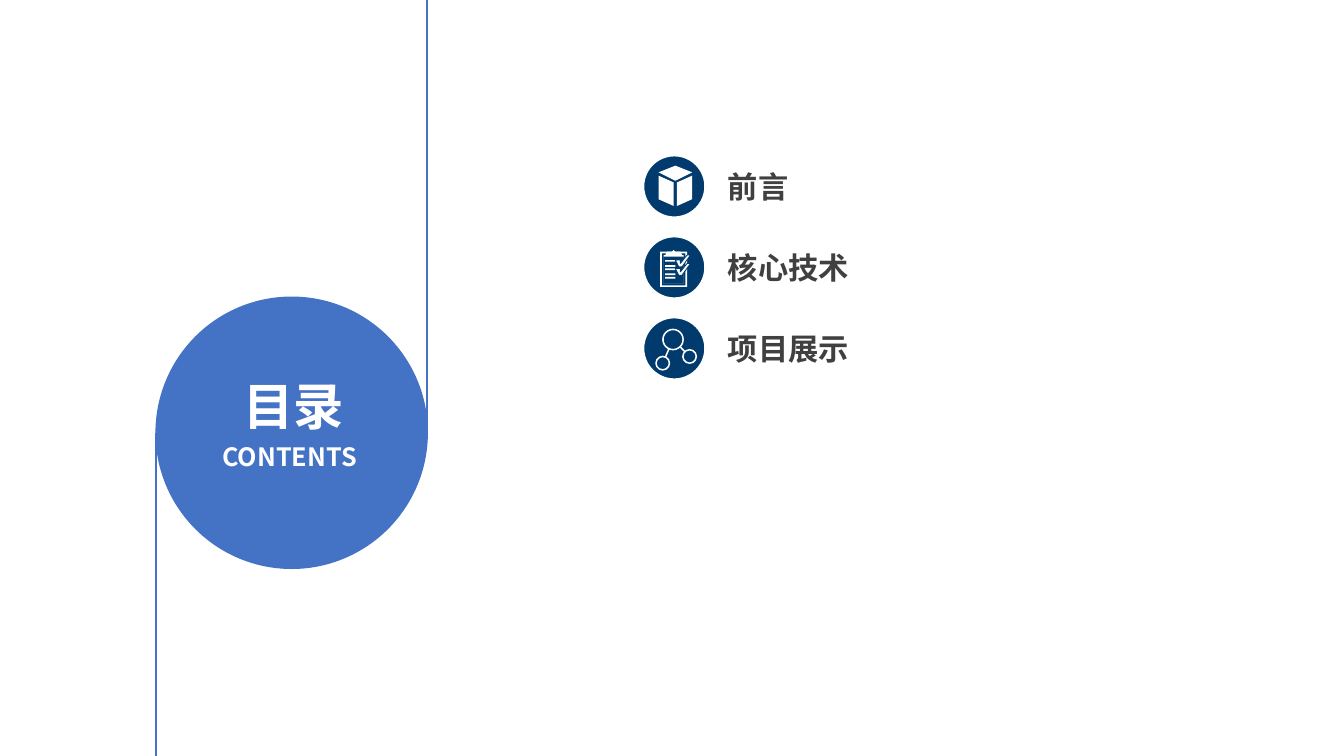
import math
import typing

import lxml.etree
import pptx
import pptx.dml.color
import pptx.enum.dml
import pptx.enum.shapes
import pptx.enum.text
import pptx.oxml.ns
import pptx.util

Pt = pptx.util.Pt
BLUE = pptx.dml.color.RGBColor(0x44, 0x72, 0xC4)
NAVY = pptx.dml.color.RGBColor(0x01, 0x3B, 0x6D)
WHITE = pptx.dml.color.RGBColor(0xFF, 0xFF, 0xFF)
GRAY = pptx.dml.color.RGBColor(0x40, 0x40, 0x40)
FONT = "Noto Sans CJK SC"
Outline = list[tuple[float, float]]


class Box(typing.NamedTuple):
    left: float
    top: float
    width: float
    height: float


class Label(typing.NamedTuple):
    text: str
    box: Box
    size: float
    color: pptx.dml.color.RGBColor
    wrap: bool = True


class Node(typing.NamedTuple):
    x: float
    y: float
    radius: float


class Entry(typing.NamedTuple):
    text: str
    width: float
    draw_icon: typing.Callable[[float, float], None]


presentation = pptx.Presentation()
presentation.slide_width = Pt(800)
presentation.slide_height = Pt(450)
slide = presentation.slides.add_slide(presentation.slide_layouts[5])


def style(shape, fill=None, line=None, width: float = 1) -> None:
    shape.shadow.inherit = False
    for target, color in ((shape.fill, fill), (shape.line.fill, line)):
        if color is None:
            target.background()
        else:
            target.solid()
            target.fore_color.rgb = color
    if line is not None:
        shape.line.width = Pt(width)


def draw_circle(node: Node, fill=None, line=None, width: float = 1) -> None:
    diameter = Pt(2 * node.radius)
    shape = slide.shapes.add_shape(
        pptx.enum.shapes.MSO_SHAPE.OVAL,
        Pt(node.x - node.radius), Pt(node.y - node.radius), diameter, diameter)
    style(shape, fill, line, width)


def draw_line(x1: float, y1: float, x2: float, y2: float, color, width: float) -> None:
    connector = slide.shapes.add_connector(
        pptx.enum.shapes.MSO_CONNECTOR.STRAIGHT, Pt(x1), Pt(y1), Pt(x2), Pt(y2))
    connector.line.color.rgb = color
    connector.line.width = Pt(width)
    properties = connector.element.find(pptx.oxml.ns.qn("p:spPr"))
    lxml.etree.SubElement(properties, pptx.oxml.ns.qn("a:effectLst"))


def draw_outlines(left: float, top: float, outlines: list[Outline], line=None) -> None:
    builder = None
    for first, *rest in outlines:
        if builder is None:
            builder = slide.shapes.build_freeform(*first, scale=Pt(1))
        else:
            builder.move_to(*first)
        builder.add_line_segments(rest, close=True)
    shape = builder.convert_to_shape(Pt(left), Pt(top))
    style(shape, WHITE, line, 0.5)


def rectangle(left: float, top: float, right: float, bottom: float) -> Outline:
    return [(left, top), (right, top), (right, bottom), (left, bottom)]


def write_label(shape, label: Label) -> None:
    shape.left, shape.top, shape.width, shape.height = map(Pt, label.box)
    frame = shape.text_frame
    frame.auto_size = pptx.enum.text.MSO_AUTO_SIZE.NONE
    frame.word_wrap = label.wrap
    frame.vertical_anchor = pptx.enum.text.MSO_ANCHOR.MIDDLE
    paragraph = frame.paragraphs[0]
    paragraph.alignment = pptx.enum.text.PP_ALIGN.LEFT
    paragraph.line_spacing = 1.0
    run = paragraph.add_run()
    run.text = label.text
    run.font.name = FONT
    run.font.size = Pt(label.size)
    run.font.bold = True
    run.font.color.rgb = label.color
    east_asian = lxml.etree.SubElement(run.font._element, pptx.oxml.ns.qn("a:ea"))
    east_asian.set("typeface", FONT)


def add_label(label: Label) -> None:
    write_label(slide.shapes.add_textbox(0, 0, 0, 0), label)


def draw_cube(left: float, top: float) -> None:
    draw_outlines(left, top, [
        [(18.8, 5.8), (29.3, 10.4), (18.8, 15), (8.6, 10.4)],
        [(8.6, 11.5), (18.2, 16), (18.2, 30.3), (8.6, 25.7)],
        [(29.3, 11.5), (19.5, 16), (19.5, 30.3), (29.3, 25.7)],
    ])


def draw_clipboard(left: float, top: float) -> None:
    frames = [
        rectangle(10 + inset, 9.4 + inset, 26.2 - inset, 30.2 - inset)
        for inset in (0, 1, 1.7, 2.4)
    ]
    text_lines = [
        rectangle(13.2, 14.4 + 2.5 * row, 19.2, 15.1 + 2.5 * row) for row in range(5)
    ]
    draw_outlines(left, top, frames + text_lines)
    draw_outlines(left, top, [[
        (13, 10.8), (13.7, 9.4), (16.6, 9.2), (18, 7.9),
        (19.4, 9.2), (22.3, 9.4), (23, 10.8)]])
    check = [(28.3, 10.6), (23, 18.2), (20.8, 18.2), (19.2, 14.2),
             (21.7, 14.2), (22.4, 16.4), (25.9, 10.6)]
    for drop in (0, 4.9):
        draw_outlines(left, top, [[(x, y + drop) for x, y in check]], NAVY)


def draw_network(left: float, top: float) -> None:
    hub = Node(left + 17.6, top + 13.1, 6)
    satellites = [Node(left + 11.5, top + 27.2, 4), Node(left + 27.5, top + 23.2, 4)]
    for satellite in satellites:
        angle = math.atan2(satellite.y - hub.y, satellite.x - hub.x)
        across, down = math.cos(angle), math.sin(angle)
        draw_line(hub.x + hub.radius * across, hub.y + hub.radius * down,
                  satellite.x - satellite.radius * across,
                  satellite.y - satellite.radius * down, WHITE, 0.9)
    for node in (hub, *satellites):
        draw_circle(node, line=WHITE, width=0.9)


disc = Node(173.6, 257.6, 80.6)
draw_line(disc.x + disc.radius, 0, disc.x + disc.radius, disc.y, BLUE, 1.5)
draw_line(disc.x - disc.radius, disc.y, disc.x - disc.radius, 450, BLUE, 1.5)
draw_circle(disc, BLUE, BLUE)

title = slide.shapes.title
title.element.getparent().append(title.element)
write_label(title, Label("目录", Box(137.5, 219.5, 104.4, 44), 30, WHITE))
add_label(Label("CONTENTS", Box(125.3, 259.2, 139.7, 25.2), 15, WHITE))

entries = [
    Entry("前言", 50.4, draw_cube),
    Entry("核心技术", 86.4, draw_clipboard),
    Entry("项目展示", 86.4, draw_network),
]
ICON_LEFT, FIRST_TOP, ROW_STEP, ICON_RADIUS = 383, 92.6, 48.2, 18.36
for row, entry in enumerate(entries):
    top = FIRST_TOP + row * ROW_STEP
    draw_circle(Node(ICON_LEFT + ICON_RADIUS, top + ICON_RADIUS, ICON_RADIUS), NAVY, WHITE)
    entry.draw_icon(ICON_LEFT, top)
    add_label(Label(entry.text, Box(426.2, top + 4.2, entry.width, 28.8), 18, GRAY, False))

presentation.save("out.pptx")
